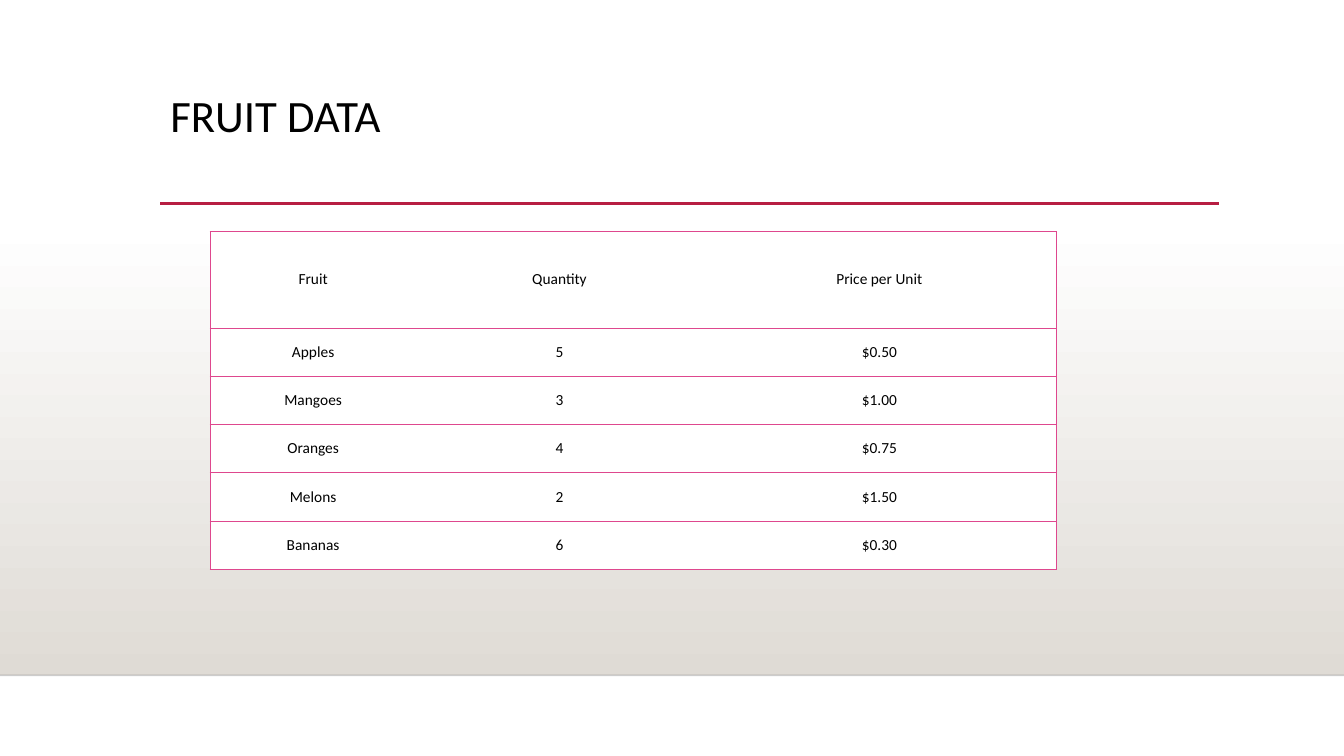
from lxml.etree import SubElement
from pptx import Presentation
from pptx.dml.color import RGBColor as RGB
from pptx.enum.shapes import MSO_CONNECTOR as LINK, MSO_SHAPE as SHAPE
from pptx.enum.text import MSO_ANCHOR as ANCHOR, MSO_AUTO_SIZE as FIT, PP_ALIGN as ALIGN
from pptx.oxml.ns import qn
from pptx.util import Pt

theme = {
    "font": "Calibri",
    "title": Pt(32),
    "cell": Pt(11),
    "text": RGB.from_string("000000"),
    "white": RGB.from_string("FFFFFF"),
    "sand": RGB.from_string("DFDBD5"),
    "floor": RGB.from_string("000001"),
    "accent": RGB.from_string("B71E42"),
    "border": "DE478E",
}
data = [
    ("Fruit", "Quantity", "Price per Unit"),
    ("Apples", "5", "$0.50"),
    ("Mangoes", "3", "$1.00"),
    ("Oranges", "4", "$0.75"),
    ("Melons", "2", "$1.50"),
    ("Bananas", "6", "$0.30"),
]
widths = [147.6, 204.5, 252.7]
step = 34.5


def style(para, size, **form):
    form["font"] = {"name": theme["font"], "size": size, "bold": False}
    for name, value in form.pop("font").items():
        setattr(para.font, name, value)
    para.font.color.rgb = theme["text"]
    for name, value in form.items():
        setattr(para, name, value)


def edge(cell, side, shown):
    line = SubElement(cell._tc.get_or_add_tcPr(), qn(f"a:ln{side}"), w=str(Pt(0.45)))
    if shown:
        fill = SubElement(line, qn("a:solidFill"))
        SubElement(fill, qn("a:srgbClr"), val=theme["border"])
    else:
        SubElement(line, qn("a:noFill"))


deck = Presentation()
deck.slide_width, deck.slide_height = Pt(960.48), Pt(540)
slide = deck.slides.add_slide(deck.slide_layouts[5])
shapes = slide.shapes

panel = shapes.add_shape(SHAPE.RECTANGLE, Pt(0), Pt(159), Pt(960.48), Pt(323.4))
panel.shadow.inherit = False
panel.line.fill.background()
panel.fill.gradient()
panel.fill.gradient_angle = 270
for stop, tone in zip(panel.fill.gradient_stops, ("white", "sand")):
    stop.color.rgb = theme[tone]

rules = {}
for name, left, right, y, width in [
    ("floor", 0, 960.48, 482.4, 1),
    ("accent", 114.5, 871, 145.5, 2.5),
]:
    rule = shapes.add_connector(LINK.STRAIGHT, Pt(left), Pt(y), Pt(right), Pt(y))
    rule.line.color.rgb = theme[name]
    rule.line.width = Pt(width)
    SubElement(rule._element.spPr, qn("a:effectLst"))
    rules[name] = rule
tint = rules["floor"]._element.spPr.find(".//" + qn("a:srgbClr"))
SubElement(tint, qn("a:alpha"), val="20000")

title = shapes.title
place = {"left": 114.5, "top": 63.4, "width": 756, "height": 82.8}
for name, value in place.items():
    setattr(title, name, Pt(value))
frame = title.text_frame
frame.text = "FRUIT DATA"
form = {"vertical_anchor": ANCHOR.TOP, "word_wrap": True, "auto_size": FIT.NONE}
for name, value in form.items():
    setattr(frame, name, value)
style(frame.paragraphs[0], theme["title"], alignment=ALIGN.LEFT, line_spacing=0.9)

table = shapes.add_table(
    len(data), len(widths), Pt(150), Pt(165.2), Pt(sum(widths)), Pt(step * (len(data) + 1))
).table
table.first_row = table.horz_banding = False
for col, width in zip(table.columns, widths):
    col.width = Pt(width)
pads = {"margin_left": 0.7, "margin_right": 0.7, "margin_top": 3.6, "margin_bottom": 3.6}
last = len(widths) - 1
for r, row in enumerate(data):
    table.rows[r].height = Pt(step if r else 2 * step)
    for c, text in enumerate(row):
        cell = table.cell(r, c)
        cell.text = text
        cell.vertical_anchor = ANCHOR.MIDDLE
        for name, value in pads.items():
            setattr(cell, name, Pt(value))
        style(cell.text_frame.paragraphs[0], theme["cell"], alignment=ALIGN.CENTER)
        for side, shown in {"L": c == 0, "R": c == last, "T": True, "B": True}.items():
            edge(cell, side, shown)
        cell.fill.solid()
        cell.fill.fore_color.rgb = theme["white"]

deck.save("out.pptx")
